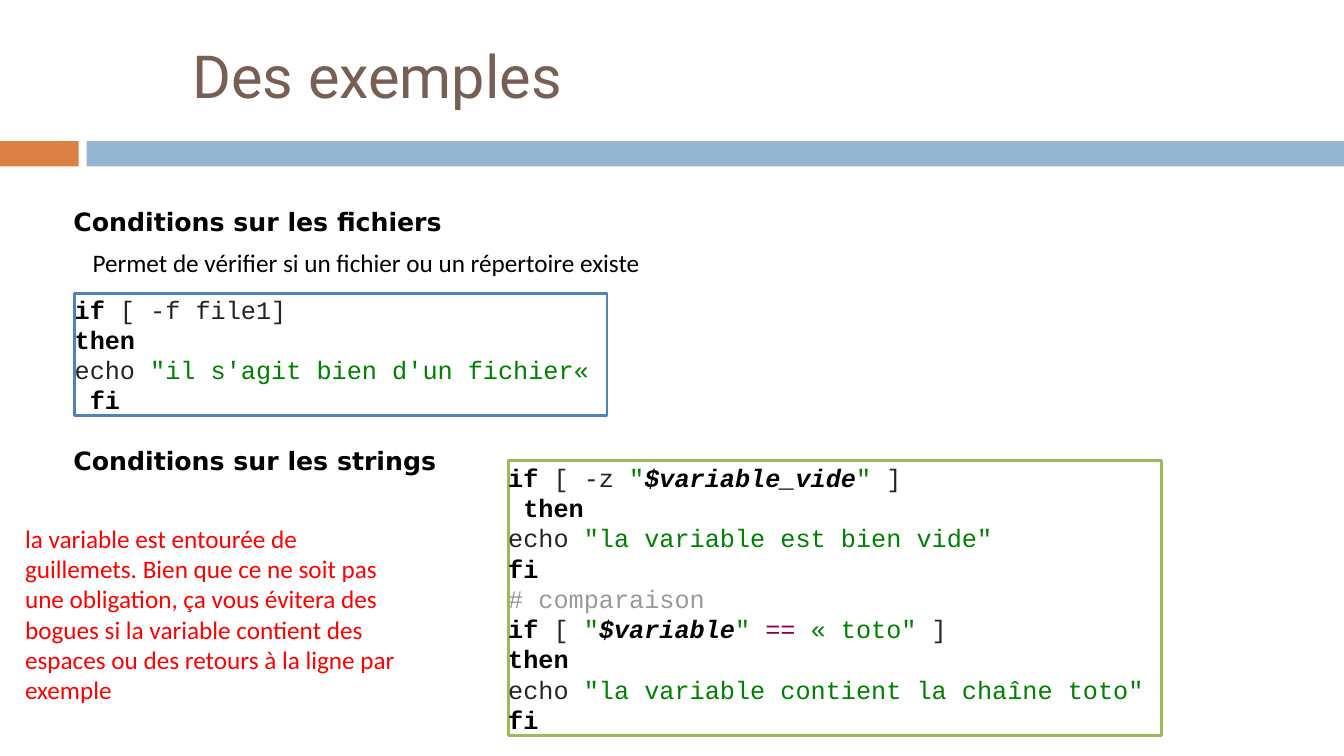
from pptx import Presentation
from pptx import util as u
from pptx.dml.color import RGBColor
from pptx.enum import shapes, text

HUES = {
    "orange": "DD8046", "sky": "93B6D2", "brown": "775F54",
    "black": "000000", "white": "FFFFFF", "red": "FF0000",
    "blue": "4F81BD", "lime": "9BBB59", "ink": "212529",
    "green": "008000", "gray": "999999", "plum": "7F0055",
}

# Token kind: colour, bold, italic
KINDS = {
    "key": ("black", True, False),
    "var": ("black", True, True),
    "str": ("green", False, False),
    "op": ("plum", False, False),
    "note": ("gray", False, False),
    "std": ("ink", False, False),
}

FILES = [
    [("if", "key"), (" [ -f file1]", "std")],
    [("then", "key")],
    [("echo ", "std"), ("\"il s'agit bien d'un fichier« ", "str")],
    [(" ", "std"), ("fi", "key")],
]

STRINGS = [
    [("if", "key"), (" [ -z ", "std"), ('"', "str"),
     ("$variable_vide", "var"), ('"', "str"), (" ]", "std")],
    [(" ", "std"), ("then", "key")],
    [("echo ", "std"), ('"la variable est bien vide"', "str")],
    [("fi", "key")],
    [("# comparaison", "note")],
    [("if", "key"), (" [ ", "std"), ('"', "str"), ("$variable", "var"),
     ('" ', "str"), ("== ", "op"), ("« toto\"", "str"), (" ]", "std")],
    [("then", "key")],
    [("echo ", "std"), ('"la variable contient la chaîne toto"', "str")],
    [("fi", "key")],
]

ADVICE = ("la variable est entourée de guillemets. Bien que ce ne soit pas "
          "une obligation, ça vous évitera des bogues si la variable contient "
          "des espaces ou des retours à la ligne par exemple")


def rgb(hue):
    return RGBColor.from_string(HUES[hue])


def inch(*sizes):
    return [u.Inches(size) for size in sizes]


class Page:
    """Holds the text size and the current slide."""

    size = 18

    def __init__(self, deck):
        self.slide = deck.slides.add_slide(deck.slide_layouts[5])

    def font(self, para, face, size, hue=None, bold=None):
        para.font.name = face
        para.font.size = u.Pt(size)
        para.font.bold = bold
        if hue:
            para.font.color.rgb = rgb(hue)

    def pad(self, frame):
        frame.margin_left = frame.margin_right = 0
        frame.margin_top = frame.margin_bottom = 0

    def title(self, words, *box):
        head = self.slide.shapes.title
        head.left, head.top, head.width, head.height = inch(*box)
        frame = head.text_frame
        frame.text = words
        self.pad(frame)
        frame.vertical_anchor = text.MSO_ANCHOR.TOP
        para = frame.paragraphs[0]
        para.alignment = text.PP_ALIGN.LEFT
        self.font(para, "Roboto", 42.4, "brown")

    def rect(self, fill, *box):
        form = self.slide.shapes.add_shape(
            shapes.MSO_SHAPE.RECTANGLE, *inch(*box))
        form.shadow.inherit = False
        form.fill.solid()
        form.fill.fore_color.rgb = rgb(fill)
        form.line.fill.background()
        return form

    def label(self, words, *box, face="Calibri", hue="black", bold=False):
        frame = self.slide.shapes.add_textbox(*inch(*box)).text_frame
        frame.word_wrap = True
        frame.text = words
        self.font(frame.paragraphs[0], face, self.size, hue, bold)

    def head(self, words, top):
        self.label(words, 0.63, top, 6.67, 0.4, face="DejaVu Sans", bold=True)

    def code(self, lines, edge, *box):
        """Draw a framed listing; each line is a list of (text, kind)."""
        form = self.rect("white", *box)
        form.line.color.rgb = rgb(edge)
        form.line.width = u.Pt(2)
        frame = form.text_frame
        self.pad(frame)
        frame.word_wrap = False
        frame.vertical_anchor = text.MSO_ANCHOR.MIDDLE
        for row, line in enumerate(lines):
            para = frame.add_paragraph() if row else frame.paragraphs[0]
            para.alignment = text.PP_ALIGN.LEFT
            self.font(para, "Courier New", self.size)
            for words, kind in line:
                run = para.add_run()
                run.text = words
                hue, run.font.bold, run.font.italic = KINDS[kind]
                run.font.color.rgb = rgb(hue)


def main():
    deck = Presentation()
    deck.slide_width, deck.slide_height = inch(13.33, 7.5)
    page = Page(deck)
    page.rect("orange", 0, 1.4, 0.78, 0.25)
    page.rect("sky", 0.86, 1.4, 12.47, 0.25)
    page.title("Des exemples", 1.91, 0.39, 9.51, 0.71)
    page.head("Conditions sur les fichiers", 2)
    page.code(FILES, "blue", 0.74, 2.91, 5.28, 1.21)
    page.label("Permet de vérifier si un fichier ou un répertoire existe",
               0.82, 2.4, 6.67, 0.4)
    page.head("Conditions sur les strings", 4.37)
    page.code(STRINGS, "lime", 5.04, 4.57, 6.48, 2.73)
    page.label(ADVICE, 0.15, 5.14, 4.01, 1.92, hue="red")
    deck.save("out.pptx")


if __name__ == "__main__":
    main()
